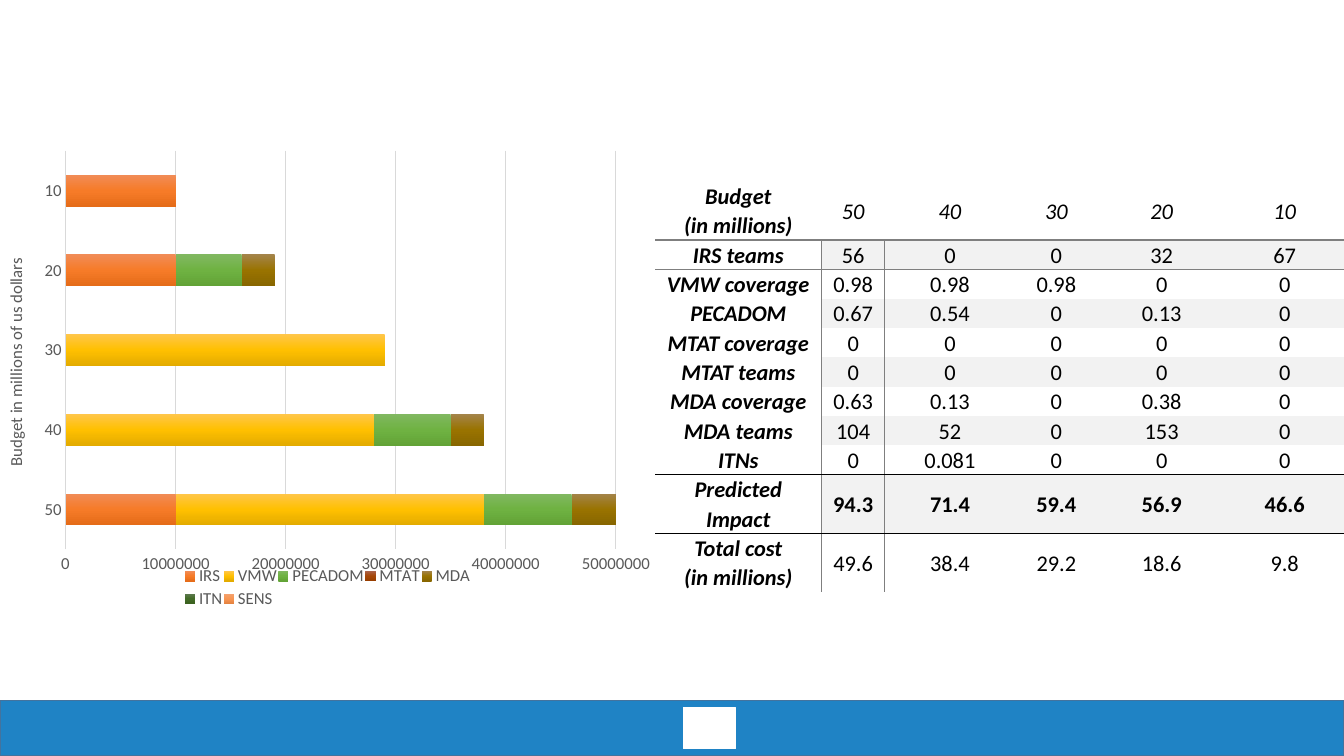
from typing import NamedTuple

from lxml import etree
from pptx import Presentation
from pptx.chart.data import CategoryChartData
from pptx.chart.series import BarSeries
from pptx.dml.color import RGBColor
from pptx.enum.chart import XL_CHART_TYPE, XL_LEGEND_POSITION, XL_TICK_MARK
from pptx.enum.shapes import MSO_SHAPE
from pptx.enum.text import MSO_ANCHOR, PP_ALIGN
from pptx.oxml import parse_xml
from pptx.oxml.ns import nsdecls, qn
from pptx.slide import Slide
from pptx.table import _Cell
from pptx.text.text import Font
from pptx.util import Cm, Pt

RECT = MSO_SHAPE.RECTANGLE
STACKED = XL_CHART_TYPE.BAR_STACKED
BOTTOM = XL_LEGEND_POSITION.BOTTOM
NO_TICK = XL_TICK_MARK.NONE
MIDDLE = MSO_ANCHOR.MIDDLE
CENTER = PP_ALIGN.CENTER
FACE = "Calibri"
PLAIN_STYLE = "{2D5ABB26-0587-4C30-8999-92F81FD0307C}"
HUES = {
    "blue": "1F83C5", "edge": "43739E", "white": "FFFFFF", "black": "000000",
    "text": "595959", "grid": "D9D9D9", "rule": "7F7F7F", "band": "F2F2F2",
}
BUDGETS = ["50", "40", "30", "20", "10"]
WIDTHS = [4.19, 1.6, 3.28, 2.08, 3.23, 2.97]


class Bar(NamedTuple):
    """A block of the footer, in centimetres."""
    left: float
    top: float
    width: float
    height: float
    fill: str
    line: str


class Spend(NamedTuple):
    """One chart series, in millions, with its gradient stops."""
    name: str
    costs: list[int]
    stops: list[str]


class Row(NamedTuple):
    """One table row."""
    label: str
    cells: list[str]
    height: float = 0.66


BARS = [
    Bar(0, 17.65, 33.87, 1.4, "blue", "edge"),
    Bar(17.22, 17.83, 1.32, 1.04, "white", "white"),
]
SPENDS = [
    Spend("IRS", [10, 0, 0, 10, 10], ["F18C57", "F67B28", "E56C19"]),
    Spend("VMW", [28, 28, 29, 0, 0], ["FFC64B", "FFC000", "E3AB00"]),
    Spend("PECADOM", [8, 7, 0, 6, 0], ["81B861", "6FB242", "62A336"]),
    Spend("MTAT", [0, 0, 0, 0, 0], ["AB634B", "A54707", "983E00"]),
    Spend("MDA", [4, 3, 0, 3, 0], ["A4844B", "997300", "886600"]),
    Spend("ITN", [0, 0, 0, 0, 0], ["607B53", "436B28", "3B6220"]),
    Spend("SENS", [0, 0, 0, 0, 0], ["F4A371", "F89653", "E58341"]),
]
ROWS = [
    Row("Budget\n(in millions)", BUDGETS, 1.35),
    Row("IRS teams", ["56", "0", "0", "32", "67"]),
    Row("VMW coverage", ["0.98", "0.98", "0.98", "0", "0"]),
    Row("PECADOM", ["0.67", "0.54", "0", "0.13", "0"]),
    Row("MTAT coverage", ["0", "0", "0", "0", "0"]),
    Row("MTAT teams", ["0", "0", "0", "0", "0"]),
    Row("MDA coverage", ["0.63", "0.13", "0", "0.38", "0"]),
    Row("MDA teams", ["104", "52", "0", "153", "0"]),
    Row("ITNs", ["0", "0.081", "0", "0", "0"]),
    Row("Predicted Impact", ["94.3", "71.4", "59.4", "56.9", "46.6"], 1.19),
    Row("Total cost\n(in millions)", ["49.6", "38.4", "29.2", "18.6", "9.8"], 1.35),
]
RULES = {1: "rule", 9: "black", 10: "black"}
IMPACT = 9


def hue(name: str) -> RGBColor:
    """Look up a named colour."""
    return RGBColor.from_string(HUES[name])


def style(font: Font, size: int, color: str, bold: bool = False, slant: bool = False) -> None:
    """Set the look of a font."""
    font.name, font.size = FACE, Pt(size)
    font.bold, font.italic = bold, slant
    font.color.rgb = hue(color)


def draw_bar(slide: Slide, bar: Bar) -> None:
    """Draw one block of the footer."""
    shape = slide.shapes.add_shape(RECT, Cm(bar.left), Cm(bar.top), Cm(bar.width), Cm(bar.height))
    shape.shadow.inherit = False
    shape.fill.solid()
    shape.fill.fore_color.rgb = hue(bar.fill)
    shape.line.color.rgb = hue(bar.line)
    shape.line.width = Pt(1)


def layout(x: float, y: float, w: float, h: float, inner: bool = False) -> etree._Element:
    """Build a manual layout for a chart part."""
    target = '<c:layoutTarget val="inner"/>' if inner else ""
    return parse_xml(
        f'<c:layout {nsdecls("c")}><c:manualLayout>{target}'
        '<c:xMode val="edge"/><c:yMode val="edge"/>'
        f'<c:x val="{x}"/><c:y val="{y}"/><c:w val="{w}"/><c:h val="{h}"/>'
        "</c:manualLayout></c:layout>"
    )


def shade(series: BarSeries, stops: list[str]) -> None:
    """Fill a series with an even gradient from top to bottom."""
    fill = series.format.fill
    fill.gradient()
    fill.gradient_angle = 270
    group = series._element.find(".//" + qn("a:gsLst"))
    group.clear()
    for i, color in enumerate(stops):
        stop = etree.SubElement(group, qn("a:gs"), pos=str(i * 50000))
        etree.SubElement(stop, qn("a:srgbClr"), val=color)


def draw_chart(slide: Slide) -> None:
    """Draw the stacked budget bars."""
    data = CategoryChartData()
    data.categories = BUDGETS
    for spend in SPENDS:
        data.add_series(spend.name, [cost * 1_000_000 for cost in spend.costs])
    chart = slide.shapes.add_chart(STACKED, Cm(0), Cm(3.56), Cm(16.51), Cm(11.96), data).chart
    chart.has_title = False
    style(chart.font, 10, "black")
    plot = chart.plots[0]
    plot.gap_width, plot.overlap = 150, 100
    plot.vary_by_categories = False
    for series, spend in zip(plot.series, SPENDS):
        shade(series, spend.stops)
    cat, val = chart.category_axis, chart.value_axis
    for axis in (cat, val):
        axis.major_tick_mark = axis.minor_tick_mark = NO_TICK
        style(axis.tick_labels.font, 12, "text")
    cat.format.line.color.rgb = hue("grid")
    cat.format.line.width = Pt(1)
    title = cat.axis_title.text_frame
    title.text = "Budget in millions of us dollars"
    style(title.paragraphs[0].runs[0].font, 12, "text")
    val.minimum_scale, val.maximum_scale = 0, 50_000_000
    val.major_unit = 10_000_000
    val.format.line.fill.background()
    val.major_gridlines.format.line.color.rgb = hue("grid")
    val.major_gridlines.format.line.width = Pt(0.75)
    chart.has_legend = True
    key = chart.legend
    key.position, key.include_in_layout = BOTTOM, False
    style(key.font, 12, "text")
    area = chart._chartSpace.find(".//" + qn("c:plotArea"))
    for old in area.findall(qn("c:layout")):
        area.remove(old)
    area.insert(0, layout(0.1, 0.02, 0.84, 0.84, True))
    for old in key._element.findall(qn("c:layout")):
        key._element.remove(old)
    key._element.find(qn("c:legendPos")).addnext(layout(0.28, 0.89, 0.44, 0.1))


def add_edge(cell: _Cell, side: str, color: str) -> None:
    """Rule one side of a cell."""
    edge = etree.SubElement(cell._tc.get_or_add_tcPr(), qn("a:ln" + side), w=str(Pt(1)))
    fill = etree.SubElement(edge, qn("a:solidFill"))
    etree.SubElement(fill, qn("a:srgbClr"), val=HUES[color])


def fill_cell(cell: _Cell, text: str, row: int, col: int) -> None:
    """Write, rule and fill one table cell."""
    cell.text_frame.text = text
    cell.vertical_anchor = MIDDLE
    cell.margin_left = cell.margin_right = Cm(0.18)
    cell.margin_top = cell.margin_bottom = 0
    for para in cell.text_frame.paragraphs:
        para.alignment, para.line_spacing = CENTER, 1.07
        style(para.runs[0].font, 16, "black", col == 0 or row == IMPACT, col == 0 or row == 0)
    sides = {
        "L": "rule" if row and col == 1 else None,
        "R": "rule" if row and col == 0 else None,
        "T": RULES.get(row),
        "B": RULES.get(row + 1),
    }
    for side, color in sides.items():
        if color:
            add_edge(cell, side, color)
    if row and col and row % 2 == 0:
        cell.fill.background()
    else:
        cell.fill.solid()
        cell.fill.fore_color.rgb = hue("band" if row and col else "white")


def draw_table(slide: Slide) -> None:
    """Draw the table of budget results."""
    size = Cm(sum(WIDTHS)), Cm(sum(row.height for row in ROWS))
    table = slide.shapes.add_table(len(ROWS), len(WIDTHS), Cm(16.51), Cm(4.57), *size).table
    table.first_row = table.horz_banding = False
    table._tbl.tblPr.find(qn("a:tableStyleId")).text = PLAIN_STYLE
    for col, width in zip(table.columns, WIDTHS):
        col.width = Cm(width)
    for r, row in enumerate(ROWS):
        table.rows[r].height = Cm(row.height)
        for c, text in enumerate([row.label, *row.cells]):
            fill_cell(table.cell(r, c), text, r, c)


def main() -> None:
    """Build and save the slide."""
    deck = Presentation()
    deck.slide_width, deck.slide_height = Cm(33.87), Cm(19.05)
    slide = deck.slides.add_slide(deck.slide_layouts[6])
    for bar in BARS:
        draw_bar(slide, bar)
    draw_chart(slide)
    draw_table(slide)
    deck.save("out.pptx")


if __name__ == "__main__":
    main()
